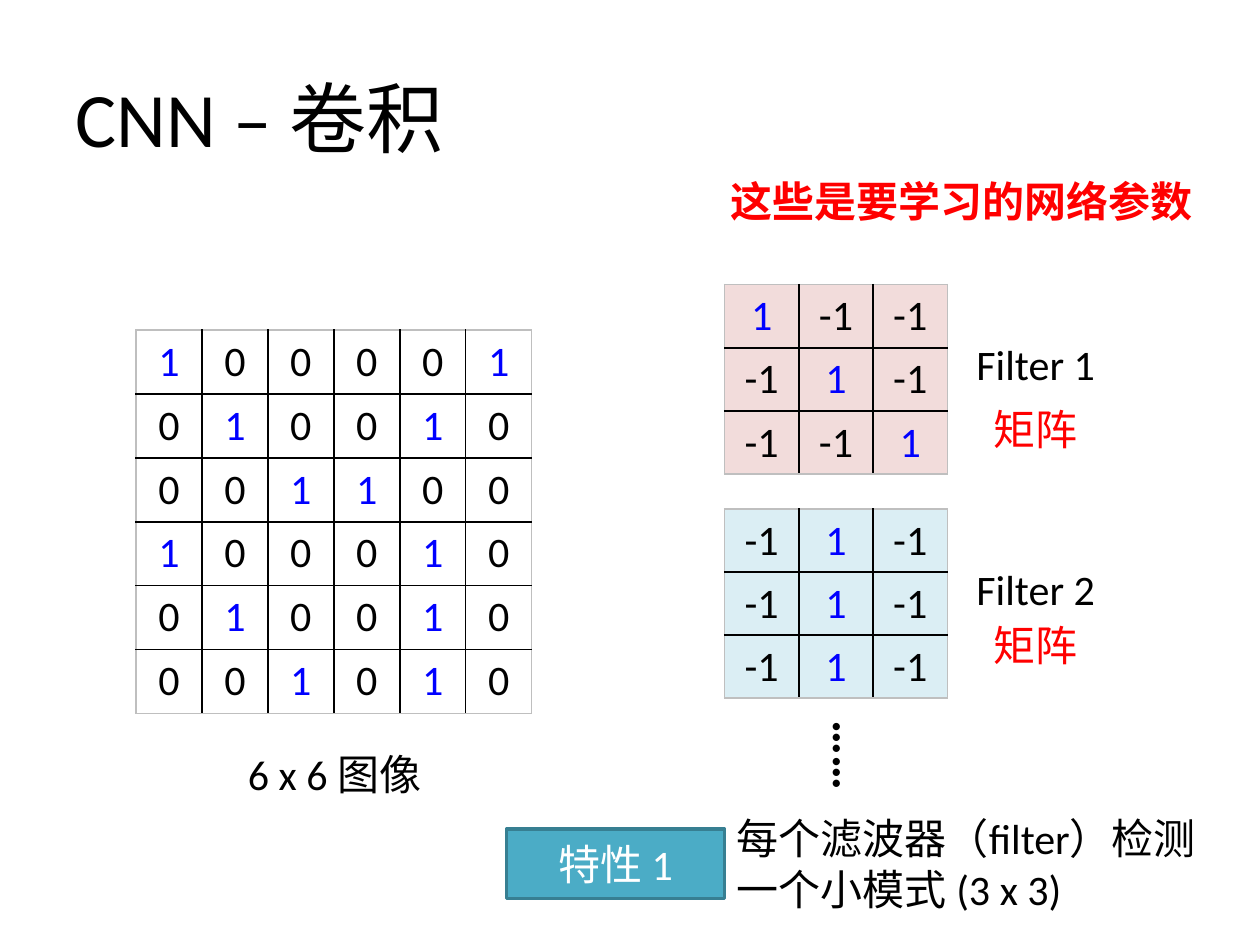
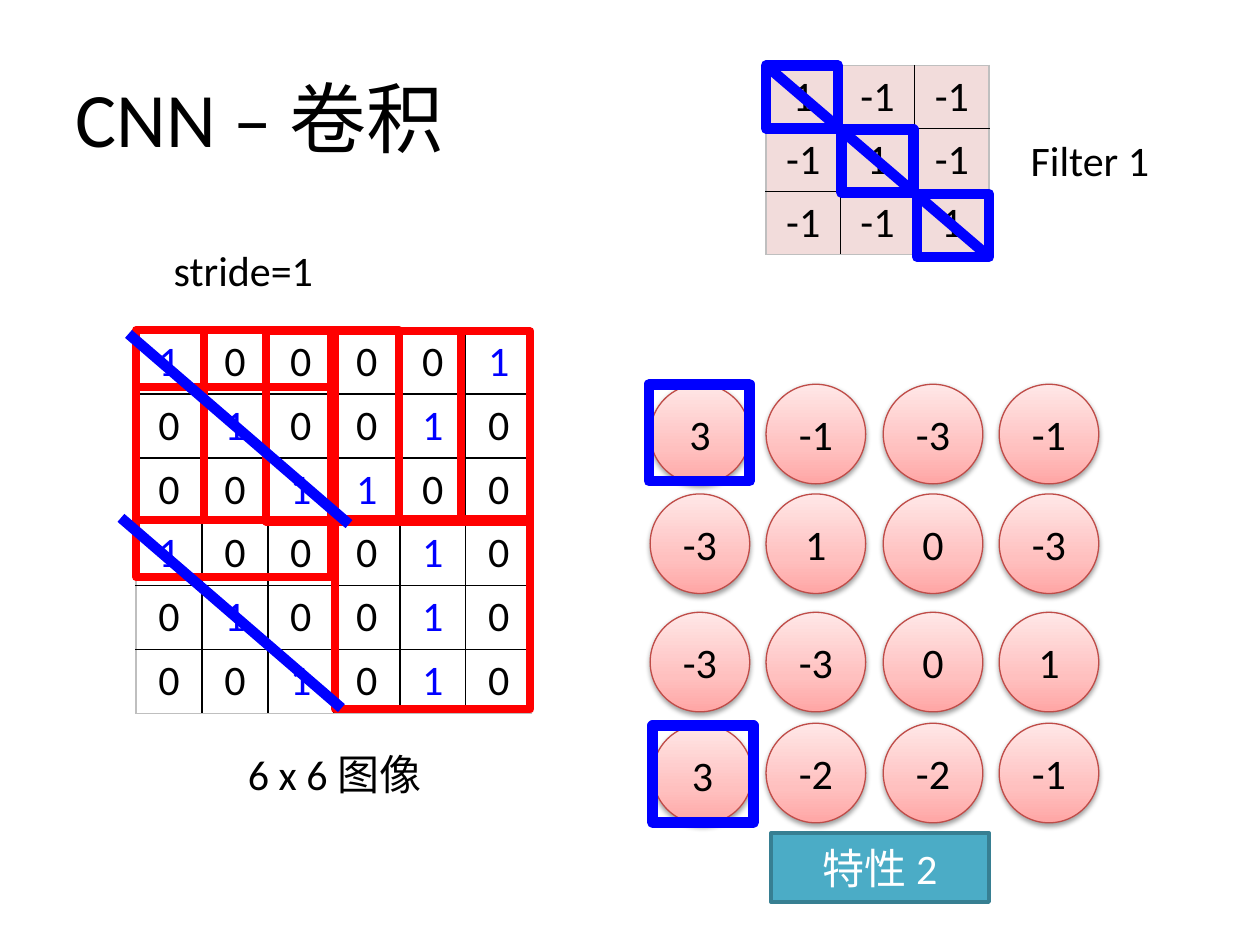
from lxml import etree
from pptx import Presentation
from pptx.dml.color import RGBColor
from pptx.enum.shapes import MSO_CONNECTOR, MSO_SHAPE
from pptx.enum.text import MSO_ANCHOR, PP_ALIGN
from pptx.oxml.ns import qn
from pptx.util import Inches, Pt

RECT, OVAL = MSO_SHAPE.RECTANGLE, MSO_SHAPE.OVAL
LINE = MSO_CONNECTOR.STRAIGHT
LEFT, CENTER = PP_ALIGN.LEFT, PP_ALIGN.CENTER
MIDDLE = MSO_ANCHOR.MIDDLE

FONT = "Calibri"
COLORS = {
    "text": "000000", "white": "FFFFFF", "blue": "0000FF", "red": "FF0000",
    "edge": "BFBFBF", "pink": "F2DCDB", "aqua": "DBEEF4",
    "teal": "4BACC6", "rim": "377F92", "ring": "BF4C48",
}
GLOW = [(0, "FFA6A5"), (35, "FFC0BF"), (100, "FFE7E7")]

IMAGE = ["1 0 0 0 0 1", "0 1 0 0 1 0", "0 0 1 1 0 0",
         "1 0 0 0 1 0", "0 1 0 0 1 0", "0 0 1 0 1 0"]
FILTER_1 = ["1 -1 -1", "-1 1 -1", "-1 -1 1"]
FILTER_2 = ["-1 1 -1"] * 3
RESULT = ["3 -1 -3 -1", "-3 1 0 -3", "-3 -3 0 1", "3 -2 -2 -1"]


def color(name):
    return RGBColor.from_string(COLORS[name])


def inches(*sizes):
    return [Inches(size) for size in sizes]


def style(par, ink="text", size=24, bold=False, align=CENTER):
    par.alignment = align
    font = par.font
    font.name, font.size, font.bold = FONT, Pt(size), bold
    font.color.rgb = color(ink)


def add_text(slide, box, text, wrap=True, **look):
    label = slide.shapes.add_textbox(*inches(*box))
    label.text_frame.word_wrap = wrap
    label.text_frame.text = text
    style(label.text_frame.paragraphs[0], **look)
    return label


def add_form(slide, kind, box, edge, width, fill=None, text=None, ink="text"):
    form = slide.shapes.add_shape(kind, *inches(*box))
    form.shadow.inherit = False
    form.line.color.rgb = color(edge)
    form.line.width = Pt(width)
    if fill:
        form.fill.solid()
        form.fill.fore_color.rgb = color(fill)
    else:
        form.fill.background()
    if text:
        frame = form.text_frame
        frame.text = text
        frame.vertical_anchor = MIDDLE
        style(frame.paragraphs[0], ink)
    return form


def add_stroke(slide, start, end):
    stroke = slide.shapes.add_connector(LINE, *inches(*start, *end))
    stroke.line.color.rgb = color("blue")
    stroke.line.width = Pt(6)
    etree.SubElement(stroke._element.spPr, qn("a:effectLst"))


def set_border(cell, sides):
    """Draw the four cell sides, given as colour names in L, R, T, B order."""
    props = cell._tc.get_or_add_tcPr()
    for spot, (side, name) in enumerate(zip("LRTB", sides)):
        line = etree.Element(qn(f"a:ln{side}"), w=str(Pt(1)))
        fill = etree.SubElement(line, qn("a:solidFill"))
        etree.SubElement(fill, qn("a:srgbClr"), val=COLORS[name])
        props.insert(spot, line)


def add_matrix(slide, box, data, fill=None, mark="blue"):
    """Number grid whose ones take the mark colour."""
    grid = [row.split() for row in data]
    rows, cols = len(grid), len(grid[0])
    table = slide.shapes.add_table(rows, cols, *inches(*box)).table
    table.first_row = table.horz_banding = False
    for col in table.columns:
        col.width = Inches(box[2] / cols)
    for r, row in enumerate(grid):
        table.rows[r].height = Inches(box[3] / rows)
        for c, value in enumerate(row):
            cell = table.cell(r, c)
            cell.text = value
            style(cell.text_frame.paragraphs[0], mark if value == "1" else "text")
            if fill:
                cell.fill.solid()
                cell.fill.fore_color.rgb = color(fill)
            else:
                cell.fill.background()
            outer = (c == 0, c == cols - 1, r == 0, r == rows - 1)
            set_border(cell, ["edge" if out else "text" for out in outer])


def add_page(deck):
    slide = deck.slides.add_slide(deck.slide_layouts[5])
    title = slide.shapes.title
    title.left, title.top, title.width, title.height = inches(0.5, 0.3, 9, 1.25)
    title.text_frame.text = "CNN – 卷积"
    title.text_frame.vertical_anchor = MIDDLE
    style(title.text_frame.paragraphs[0], size=44, align=LEFT)
    return slide


def add_image(slide, x, y):
    add_matrix(slide, (x, y, 3.14, 3), IMAGE)
    add_text(slide, (x + 0.29, y + 3.27, 2.57, 0.5), "6 x 6 图像")


def add_tag(slide, x, y, text):
    add_form(slide, RECT, (x, y, 1.73, 0.55), "rim", 2, "teal", text, "white")


def add_filter(slide, x, y, data, fill, name, drop):
    """Filter matrix with its name and the word for matrix beside it."""
    add_matrix(slide, (x, y, 1.77, 1.5), data, fill)
    add_text(slide, (x + 1.68, y + 0.38, 1.58, 0.5), name)
    add_text(slide, (x + 1.91, y + drop, 1.12, 0.5), "矩阵", ink="red")


def add_diagonal(slide, x, y):
    """Filter 1 with its diagonal boxed and struck through."""
    add_matrix(slide, (x, y, 1.77, 1.5), FILTER_1, "pink", mark="text")
    add_text(slide, (x + 1.78, y + 0.5, 1.58, 0.5), "Filter 1")
    for step in range(3):
        box = (x + 0.6 * step, y + 0.51 * step, 0.57, 0.5)
        add_form(slide, RECT, box, "blue", 6)
    add_stroke(slide, (x, y), (x + 1.76, y + 1.51))


def add_windows(slide, x, y):
    """Red filter windows over the image, and the two matching diagonals."""
    for dx, dy in [(0, 0), (0.54, 0), (1.03, 0.01), (1.58, 0.01),
                   (0, 0.45), (1.58, 1.5)]:
        add_form(slide, RECT, (x + dx, y + dy, 1.55, 1.51), "red", 4.5)
    for dx, dy in [(-0.06, 0.03), (-0.12, 1.49)]:
        start = (x + dx, y + dy)
        add_stroke(slide, start, (start[0] + 1.75, start[1] + 1.51))


def add_ball(slide, x, y, value):
    ball = add_form(slide, OVAL, (x, y, 0.79, 0.79), "ring", 0.75, text=value)
    ball.text_frame.margin_left = ball.text_frame.margin_right = 0
    # Three-stop gradient, running upwards
    ball.fill.gradient()
    ball.fill.gradient_angle = 90
    props = ball._element.spPr
    stops = props.find(qn("a:gradFill")).find(qn("a:gsLst"))
    for stop in list(stops):
        stops.remove(stop)
    for pos, tint in GLOW:
        stop = etree.SubElement(stops, qn("a:gs"), pos=str(pos * 1000))
        etree.SubElement(stop, qn("a:srgbClr"), val=tint)
    # Soft shadow below
    shade = etree.SubElement(
        props.find(qn("a:effectLst")), qn("a:outerShdw"), blurRad=str(Pt(3.1)),
        dist=str(Pt(1.6)), dir="5400000", rotWithShape="0")
    tone = etree.SubElement(shade, qn("a:srgbClr"), val=COLORS["text"])
    etree.SubElement(tone, qn("a:alpha"), val="38000")


def add_result(slide, x, y):
    """Feature map of balls; the threes in the first column are boxed."""
    tops = [y, y + 0.87, y + 1.81, y + 2.69]
    lefts = [x, x + 0.92, x + 1.85, x + 2.77]
    for top, row in zip(tops, RESULT):
        for left, value in zip(lefts, row.split()):
            shift = 0.02 if value == "3" and top > y else 0
            add_ball(slide, left + shift, top + shift / 2, value)
    for dx, dy in [(-0.01, 0), (0.02, 2.71)]:
        add_form(slide, RECT, (x + dx, y + dy, 0.8, 0.77), "blue", 6)


def build_filters(deck):
    slide = add_page(deck)
    add_image(slide, 1.08, 2.62)
    add_filter(slide, 5.75, 2.26, FILTER_1, "pink", "Filter 1", 0.89)
    add_filter(slide, 5.75, 4.04, FILTER_2, "aqua", "Filter 2", 0.83)
    dots = add_text(slide, (6.38, 5.72, 0.77, 0.57), "……",
                    size=28, bold=True, align=LEFT)
    dots.rotation = 90
    add_text(slide, (5.7, 1.34, 3.89, 0.5), "这些是要学习的网络参数",
             ink="red", bold=True, align=LEFT)
    add_text(slide, (5.75, 6.4, 3.89, 0.91),
             "每个滤波器（filter）检测一个小模式 (3 x 3)", align=LEFT)
    add_tag(slide, 4.02, 6.58, "特性 1")


def build_stride(deck):
    slide = add_page(deck)
    add_image(slide, 1.08, 2.62)
    add_diagonal(slide, 6.08, 0.52)
    add_text(slide, (1.28, 1.89, 1.32, 0.5), "stride=1", wrap=False, align=LEFT)
    add_windows(slide, 1.08, 2.62)
    add_result(slide, 5.16, 3.05)
    add_tag(slide, 6.12, 6.61, "特性 2")


def main():
    deck = Presentation()
    deck.slide_width, deck.slide_height = inches(10, 7.5)
    build_filters(deck)
    build_stride(deck)
    deck.save("out.pptx")


if __name__ == "__main__":
    main()
